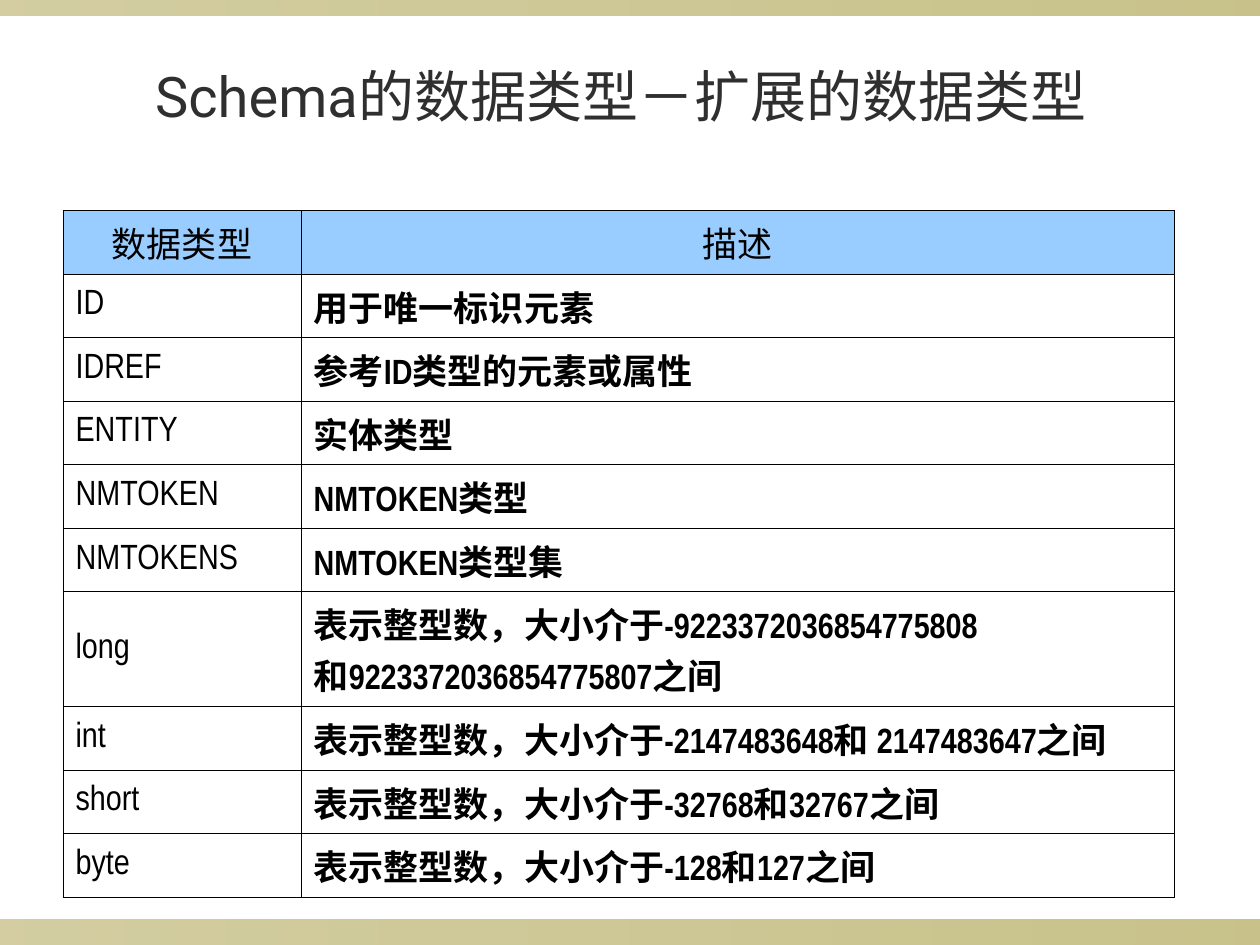
from lxml import etree
from pptx import Presentation
from pptx import util as u
from pptx.dml.color import RGBColor
from pptx.enum import shapes, text
from pptx.oxml import ns

COLORS = {"bar": "918415", "title": "2F2F2F", "text": "000000",
          "header": "99CCFF", "border": "000000"}
HANGING_INDENT = u.Inches(0.38)
BORDER_WIDTH = u.Pt(0.34)
DATA_TYPES = [
    ("数据类型", "描述"),
    ("ID", "用于唯一标识元素"),
    ("IDREF", "参考ID类型的元素或属性"),
    ("ENTITY", "实体类型"),
    ("NMTOKEN", "NMTOKEN类型"),
    ("NMTOKENS", "NMTOKEN类型集"),
    ("long", "表示整型数，大小介于-9223372036854775808\n和9223372036854775807之间"),
    ("int", "表示整型数，大小介于-2147483648和 2147483647之间"),
    ("short", "表示整型数，大小介于-32768和32767之间"),
    ("byte", "表示整型数，大小介于-128和127之间"),
]
TABLE_HEIGHT = 5.45
TWO_LINE_ROW = 0.91
ONE_LINE_ROW = (TABLE_HEIGHT - TWO_LINE_ROW) / (len(DATA_TYPES) - 1)


def format_font(font, color, **values):
    font.color.rgb = RGBColor.from_string(COLORS[color])
    for name, value in values.items():
        setattr(font, name, value)


def add_borders(cell):
    properties = cell._tc.get_or_add_tcPr()
    for position, side in enumerate(("lnL", "lnR", "lnT", "lnB")):
        line = etree.Element(ns.qn(f"a:{side}"), w=str(BORDER_WIDTH))
        fill = etree.SubElement(line, ns.qn("a:solidFill"))
        etree.SubElement(fill, ns.qn("a:srgbClr"), val=COLORS["border"])
        properties.insert(position, line)


presentation = Presentation()
presentation.slide_width, presentation.slide_height = u.Inches(10), u.Inches(7.5)
slide = presentation.slides.add_slide(presentation.slide_layouts[6])

# Translucent bars along the bottom and top edges
for top, height in ((7.3, 0.2), (0, 0.12)):
    bar = slide.shapes.add_shape(shapes.MSO_SHAPE.RECTANGLE, 0, u.Inches(top),
                                 presentation.slide_width, u.Inches(height))
    bar.shadow.inherit = False
    bar.line.fill.background()
    bar.fill.gradient()
    bar.fill.gradient_angle = 0
    for stop in bar.fill.gradient_stops:
        stop.color.rgb = RGBColor.from_string(COLORS["bar"])
    for color, opacity in zip(bar._element.spPr.iter(ns.qn("a:srgbClr")), (40, 50)):
        etree.SubElement(color, ns.qn("a:alpha"), val=str(opacity * 1000))

# Title
title = slide.shapes.add_textbox(u.Inches(0.43), u.Inches(0.13), u.Inches(9), u.Inches(1.25))
title.text_frame.word_wrap = True
title.text_frame.vertical_anchor = text.MSO_ANCHOR.MIDDLE
paragraph = title.text_frame.paragraphs[0]
paragraph.text = "Schema的数据类型－扩展的数据类型"
paragraph.alignment = text.PP_ALIGN.CENTER
format_font(paragraph.runs[0].font, "title", name="Roboto", size=u.Pt(32))

# Table of data types
frame = slide.shapes.add_table(len(DATA_TYPES), 2, u.Inches(0.5), u.Inches(1.67),
                               u.Inches(8.82), u.Inches(TABLE_HEIGHT))
table = frame.table
table.first_row = table.horz_banding = False
for column, width in zip(table.columns, (1.89, 6.93)):
    column.width = u.Inches(width)

for row_index, entries in enumerate(DATA_TYPES):
    is_header = row_index == 0
    table.rows[row_index].height = u.Inches(TWO_LINE_ROW if "\n" in entries[1] else ONE_LINE_ROW)
    for column_index, entry in enumerate(entries):
        cell = table.cell(row_index, column_index)
        cell.text = entry
        if is_header:
            cell.fill.solid()
            cell.fill.fore_color.rgb = RGBColor.from_string(COLORS["header"])
        else:
            cell.fill.background()
            cell.vertical_anchor = text.MSO_ANCHOR.MIDDLE
        add_borders(cell)
        for paragraph in cell.text_frame.paragraphs:
            paragraph.alignment = text.PP_ALIGN.CENTER if is_header else text.PP_ALIGN.LEFT
            indents = paragraph._p.get_or_add_pPr()
            indents.set("marL", str(HANGING_INDENT))
            indents.set("indent", str(-HANGING_INDENT))
            format_font(paragraph.runs[0].font, "text", name="Arial Narrow", size=u.Pt(20),
                        bold=not is_header and column_index == 1)

presentation.save("out.pptx")
